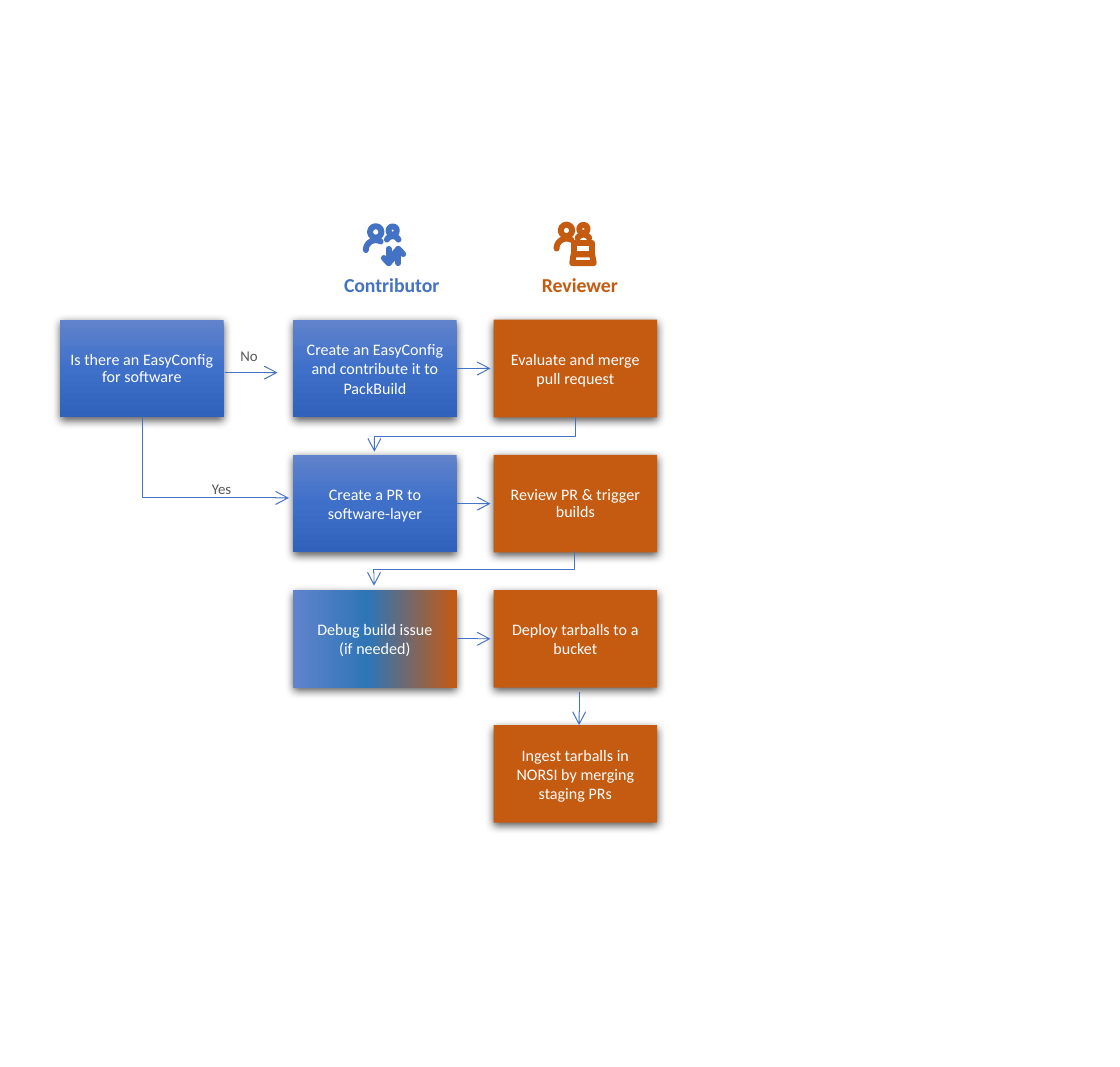
from copy import deepcopy
from math import cos, radians, sin

from pptx import Presentation
from pptx.dml.color import RGBColor
from pptx.enum.shapes import MSO_CONNECTOR, MSO_SHAPE
from pptx.enum.text import MSO_ANCHOR, PP_ALIGN
from pptx.oxml.ns import qn
from pptx.oxml.xmlchemy import OxmlElement
from pptx.util import Pt

RECTANGLE, OVAL = MSO_SHAPE.RECTANGLE, MSO_SHAPE.OVAL
STRAIGHT = MSO_CONNECTOR.STRAIGHT
CENTER, MIDDLE = PP_ALIGN.CENTER, MSO_ANCHOR.MIDDLE
RIGHT_SIDE = 3

BLUE = RGBColor(0x44, 0x72, 0xC4)
LIGHT_BLUE = RGBColor(0x61, 0x83, 0xCB)
MEDIUM_BLUE = RGBColor(0x3E, 0x70, 0xCA)
DARK_BLUE = RGBColor(0x30, 0x62, 0xBB)
TEAL_BLUE = RGBColor(0x2E, 0x75, 0xB6)
ORANGE = RGBColor(0xC5, 0x5A, 0x11)
GRAY = RGBColor(0x59, 0x59, 0x59)
WHITE = RGBColor(0xFF, 0xFF, 0xFF)

# Gradients: angle and stops
CONTRIBUTOR_FILL = (270, [(0, LIGHT_BLUE), (0.5, MEDIUM_BLUE), (1, DARK_BLUE)])
SHARED_FILL = (0, [(0, LIGHT_BLUE), (0.46, TEAL_BLUE), (1, ORANGE)])

# Grid of process boxes, in points
COLUMNS = (30.4, 148.3, 249.7)
TOP, ROW_PITCH = 161.8, 68.4
BOX_WIDTH, BOX_HEIGHT = 82.8, 49.4

# Column, row, fill, line spacing, text
STEPS = [
    (0, 0, CONTRIBUTOR_FILL, 0.9, "Is there an EasyConfig for software"),
    (1, 0, CONTRIBUTOR_FILL, 1.0, "Create an EasyConfig and contribute it to PackBuild"),
    (2, 0, ORANGE, 1.0, "Evaluate and merge pull request"),
    (1, 1, CONTRIBUTOR_FILL, 1.0, "Create a PR to software-layer"),
    (2, 1, ORANGE, 0.9, "Review PR & trigger builds"),
    (1, 2, SHARED_FILL, 1.0, "Debug build issue\n(if needed)"),
    (2, 2, ORANGE, 1.0, "Deploy tarballs to a bucket"),
    (2, 3, ORANGE, 1.0, "Ingest tarballs in NORSI by merging staging PRs"),
]

# Text, left, top, width, size, colour, bold
LABELS = [
    ("Contributor", 167, 134.6, 124.6, 10, BLUE, True),
    ("Reviewer", 267.1, 134.6, 124.6, 10, ORANGE, True),
    ("Yes", 100.1, 239, 29.5, 7.5, GRAY, False),
    ("No", 114.5, 172.1, 35.3, 7.5, GRAY, False),
]

ELBOWS = [
    [(290.9, 211), (290.9, 220.8), (189.4, 220.8), (189.4, 228.6)],
    [(290.6, 278.8), (290.6, 288.4), (189.2, 288.4), (189.2, 296.4)],
    [(72, 211.2), (72, 252), (146.2, 252)],
]

# Icon strokes, relative to the centre of the front head
EXCHANGE_STROKES = [
    [(6.5, 8.6), (6.5, 15.8)],
    [(4.1, 13.2), (6.5, 15.8), (8.9, 13.2)],
    [(11.5, 15.8), (11.5, 8.6)],
    [(9.1, 11.2), (11.5, 8.6), (13.9, 11.2)],
]
LAPTOP_STROKES = [
    [(3.6, 6.5), (13, 6.5), (13, 12), (3.6, 12), (3.6, 6.5)],
    [(3.6, 12.2), (13, 12.2), (13.8, 16.6), (2.9, 16.6), (3.6, 12.2)],
]


def style_text(frame, size, color, bold=False):
    for para in frame.paragraphs:
        for span in para.runs:
            span.font.name = "Calibri"
            span.font.size = Pt(size)
            span.font.bold = bold
            span.font.color.rgb = color


def fill_gradient(shape, angle, stops):
    shape.fill.gradient()
    shape.fill.gradient_angle = angle
    stop_list = shape.fill._xPr.find(".//" + qn("a:gsLst"))
    stop_list.append(deepcopy(stop_list[0]))
    for stop, (position, color) in zip(shape.fill.gradient_stops, stops):
        stop.position = position
        stop.color.rgb = color


def add_soft_shadow(shape):
    shape.shadow.inherit = False
    effects = shape._element.spPr.find(qn("a:effectLst"))
    shadow = OxmlElement("a:outerShdw")
    for name, value in (("blurRad", Pt(4.5)), ("dist", Pt(1.5)), ("dir", 5400000)):
        shadow.set(name, str(int(value)))
    shadow.set("rotWithShape", "0")
    color = OxmlElement("a:srgbClr")
    color.set("val", "000000")
    alpha = OxmlElement("a:alpha")
    alpha.set("val", "63000")
    color.append(alpha)
    shadow.append(color)
    effects.append(shadow)


def add_step(page, column, row, fill, spacing, text):
    box = page.shapes.add_shape(
        RECTANGLE, Pt(COLUMNS[column]), Pt(TOP + row * ROW_PITCH),
        Pt(BOX_WIDTH), Pt(BOX_HEIGHT))
    if isinstance(fill, RGBColor):
        box.fill.solid()
        box.fill.fore_color.rgb = fill
    else:
        fill_gradient(box, *fill)
    box.line.fill.background()
    add_soft_shadow(box)
    frame = box.text_frame
    frame.text = text
    frame.word_wrap = True
    frame.vertical_anchor = MIDDLE
    frame.margin_left = frame.margin_right = Pt(4)
    frame.margin_top = frame.margin_bottom = Pt(4)
    for para in frame.paragraphs:
        para.alignment = CENTER
        para.line_spacing = spacing
    style_text(frame, 8.1, WHITE)
    return box


def add_label(page, text, left, top, width, size, color, bold):
    label = page.shapes.add_textbox(Pt(left), Pt(top), Pt(width), Pt(size + 9))
    label.text_frame.text = text
    label.text_frame.word_wrap = True
    style_text(label.text_frame, size, color, bold)


def add_arrowhead(line):
    tail = OxmlElement("a:tailEnd")
    tail.set("type", "arrow")
    line._get_or_add_ln().append(tail)


def add_arrow(page, start, end, source=None):
    arrow = page.shapes.add_connector(STRAIGHT, *map(Pt, start + end))
    if source is not None:
        arrow.begin_connect(source, RIGHT_SIDE)
    arrow.line.color.rgb = BLUE
    arrow.line.width = Pt(0.5)
    add_arrowhead(arrow.line)
    arrow._element.spPr.append(OxmlElement("a:effectLst"))


def style_outline(shape, color, width):
    shape.fill.background()
    shape.line.color.rgb = color
    shape.line.width = Pt(width)
    shape.shadow.inherit = False


def add_stroke(page, points, color, width):
    corners = [(Pt(x), Pt(y)) for x, y in points]
    builder = page.shapes.build_freeform(*corners[0])
    builder.add_line_segments(corners[1:], close=points[0] == points[-1])
    stroke = builder.convert_to_shape()
    style_outline(stroke, color, width)
    return stroke


def arc_points(x, y, radius, first, last):
    angles = [radians(angle) for angle in range(first, last + 1, 10)]
    return [(x + radius * cos(a), y + radius * sin(a)) for a in angles]


def add_people_icon(page, x, y, color, extra_strokes):
    for dx, dy, radius in ((0, 0, 2.9), (8.6, -0.7, 2.1)):
        head = page.shapes.add_shape(
            OVAL, Pt(x + dx - radius), Pt(y + dy - radius),
            Pt(2 * radius), Pt(2 * radius))
        style_outline(head, color, 3)
    shoulders = [arc_points(0, 9.2, 5, 180, 300), arc_points(8.6, 5.6, 3.4, 210, 330)]
    for points in shoulders + extra_strokes:
        stroke = add_stroke(page, [(x + dx, y + dy) for dx, dy in points], color, 3)
        outline = stroke.line._get_or_add_ln()
        outline.set("cap", "rnd")
        outline.append(OxmlElement("a:round"))


def main():
    deck = Presentation()
    deck.slide_width, deck.slide_height = Pt(566.64), Pt(540)
    page = deck.slides.add_slide(deck.slide_layouts[6])

    # Role icons and labels
    add_people_icon(page, 190.1, 117.4, BLUE, EXCHANGE_STROKES)
    add_people_icon(page, 286.6, 116.6, ORANGE, LAPTOP_STROKES)
    for label in LABELS:
        add_label(page, *label)

    # Process boxes
    boxes = {step[:2]: add_step(page, *step) for step in STEPS}

    # Arrows from contributor to reviewer
    for row in range(3):
        y = TOP + row * ROW_PITCH + BOX_HEIGHT / 2
        add_arrow(page, (COLUMNS[1] + BOX_WIDTH, y), (248.2, y), boxes[1, row])

    # "No" branch and last step
    add_arrow(page, (113.8, 188.6), (140.4, 188.6))
    add_arrow(page, (293, 350), (293, 367))

    # Bent arrows
    for points in ELBOWS:
        add_arrowhead(add_stroke(page, points, BLUE, 0.5).line)

    deck.save("out.pptx")


if __name__ == "__main__":
    main()
